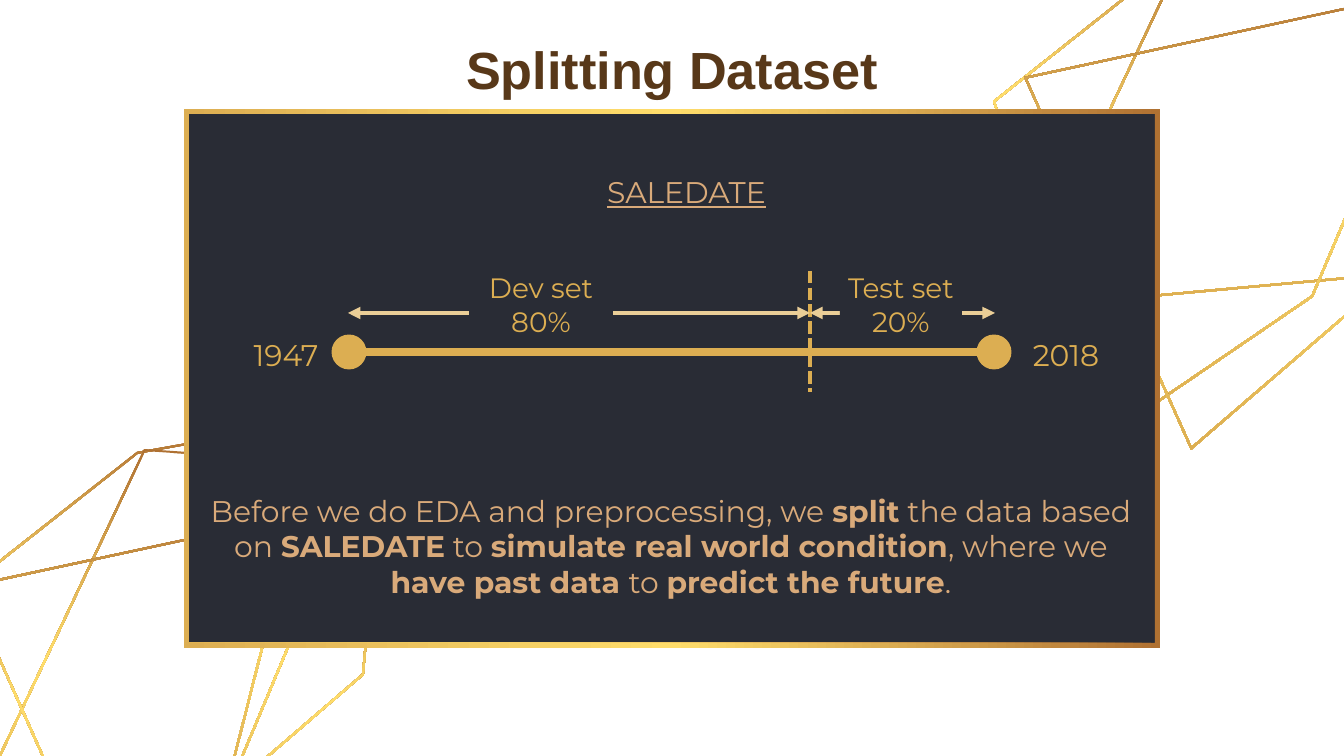
from copy import deepcopy
from math import hypot

from lxml.etree import SubElement
from pptx import Presentation
from pptx.dml.color import RGBColor
from pptx.enum.dml import MSO_LINE
from pptx.enum.shapes import MSO_CONNECTOR, MSO_SHAPE
from pptx.enum.text import MSO_ANCHOR, PP_ALIGN
from pptx.oxml.ns import qn
from pptx.util import Emu, Pt

EMU_PER_PX = 914400 / 134.4
GOLD = RGBColor(0xDC, 0xAE, 0x52)
YELLOW = RGBColor(0xFF, 0xDD, 0x6B)
BRONZE = RGBColor(0xAF, 0x71, 0x32)
CREAM = RGBColor(0xEA, 0xCE, 0x97)
TAN = RGBColor(0xD9, 0xAA, 0x7A)
BROWN = RGBColor(0x58, 0x38, 0x19)
NAVY = RGBColor(0x29, 0x2C, 0x35)
FONT = "Montserrat"

DOWNWARD, LEFTWARD = 270, 180

# Corners run clockwise.
WEB = [
    [(-22, 788), (-71, 616), (137, 452), (276, 427), (298, 511), (234, 763)],
    [(91, 864), (-15, 785), (144, 449), (366, 464), (241, 762)],
    [(105, 898), (-34, 586), (380, 497), (364, 675)],
    [(1052, 306), (993, 101), (1243, -97), (1409, -125), (1437, -26), (1359, 278)],
    [(1134, 419), (1007, 325), (1198, -79), (1464, -60), (1313, 297)],
    [(1191, 450), (1024, 77), (1520, -30), (1501, 183)],
]
FRAME = [(184, 109), (1160, 109), (1160, 648), (184, 648)]

START, SPLIT, END = 348, 810, 995
TIMELINE_Y, ARROW_Y = 352, 313
DOT = 35

MESSAGE = [
    ("Before we do EDA and preprocessing, we ", False),
    ("split", True),
    (" the data based on ", False),
    ("SALEDATE", True),
    (" to ", False),
    ("simulate real world condition", True),
    (", where we ", False),
    ("have past data ", True),
    ("to ", False),
    ("predict the future", True),
    (".", False),
]


def px(value):
    return Emu(round(value * EMU_PER_PX))


def inset(corners, depth):
    """Move every edge of a clockwise polygon inwards by depth."""
    normals = []
    for (x1, y1), (x2, y2) in zip(corners, corners[1:] + corners[:1]):
        length = hypot(x2 - x1, y2 - y1)
        normals.append(((y1 - y2) / length, (x2 - x1) / length))
    moved = []
    for index, (x, y) in enumerate(corners):
        (ax, ay), (bx, by) = normals[index - 1], normals[index]
        reach = depth / (1 + ax * bx + ay * by)
        moved.append((x + reach * (ax + bx), y + reach * (ay + by)))
    return moved


def add_ring(page, corners, thickness, angle):
    """Add a hollow polygon filled with the bronze to gold gradient."""
    outer = [(px(x), px(y)) for x, y in corners]
    inner = [(px(x), px(y)) for x, y in reversed(inset(corners, thickness))]
    builder = page.shapes.build_freeform(*outer[0], scale=1.0)
    builder.add_line_segments(outer[1:], close=True)
    builder.move_to(*inner[0])
    builder.add_line_segments(inner[1:], close=True)
    ring = builder.convert_to_shape()
    ring.shadow.inherit = False
    ring.line.fill.background()
    ring.fill.gradient()
    stop_list = ring._element.spPr.find(qn("a:gradFill")).find(qn("a:gsLst"))
    stop_list.append(deepcopy(stop_list[0]))
    ring.fill.gradient_angle = angle
    colors = (BRONZE, YELLOW, GOLD)
    for stop, color, position in zip(ring.fill.gradient_stops, colors, (0, 0.5, 1)):
        stop.color.rgb = color
        stop.position = position


def add_solid(page, kind, left, top, width, height, color):
    shape = page.shapes.add_shape(kind, px(left), px(top), px(width), px(height))
    shape.shadow.inherit = False
    shape.fill.solid()
    shape.fill.fore_color.rgb = color
    shape.line.fill.background()
    return shape


def add_line(page, start, end, color, weight, arrows=False):
    line = page.shapes.add_connector(
        MSO_CONNECTOR.STRAIGHT, *(px(value) for value in start + end))
    line.line.color.rgb = color
    line.line.width = Pt(weight)
    if arrows:
        outline = line.line._get_or_add_ln()
        for tag in ("a:headEnd", "a:tailEnd"):
            SubElement(outline, qn(tag), type="triangle")
    SubElement(line._element.spPr, qn("a:effectLst"))
    return line


def write(box, paragraphs, size, color, font=FONT, underline=None, margin=13):
    """Fill a box with centred paragraphs of (text, bold) runs."""
    frame = box.text_frame
    frame.word_wrap = True
    frame.vertical_anchor = MSO_ANCHOR.MIDDLE
    frame.margin_left = frame.margin_right = px(margin)
    frame.margin_top = frame.margin_bottom = px(margin)
    for index, runs in enumerate(paragraphs):
        para = frame.add_paragraph() if index else frame.paragraphs[0]
        para.alignment = PP_ALIGN.CENTER
        for text, bold in runs:
            span = para.add_run()
            span.text = text
            span.font.name = font
            span.font.size = Pt(size)
            span.font.bold = bold
            span.font.underline = underline
            span.font.color.rgb = color


def add_text(page, left, top, width, height, runs, size, color, **style):
    box = page.shapes.add_textbox(px(left), px(top), px(width), px(height))
    write(box, [runs], size, color, **style)


def add_share(page, left, width, name, share):
    """Add a label that interrupts the arrow behind it."""
    label = add_solid(page, MSO_SHAPE.RECTANGLE, left, 271, width, 67, NAVY)
    write(label, [[(name, False)], [(share, False)]], 15, GOLD, margin=0)


def add_timeline(page):
    add_line(page, (START, TIMELINE_Y), (END, TIMELINE_Y), GOLD, 4.5)
    for center, year, left in ((START + 1, "1947", 232), (END - 1, "2018", 1012)):
        add_solid(page, MSO_SHAPE.OVAL, center - DOT / 2, TIMELINE_Y - DOT / 2,
                  DOT, DOT, GOLD)
        add_text(page, left, 332, 108, 46, [(year, False)], 16, GOLD)
    divider = add_line(page, (SPLIT, 271), (SPLIT, 392), GOLD, 2.25)
    divider.line.dash_style = MSO_LINE.SQUARE_DOT
    for left, right in ((START, SPLIT), (SPLIT, END)):
        add_line(page, (left, ARROW_Y), (right, ARROW_Y), CREAM, 2.25, arrows=True)
    add_share(page, 469, 144, "Dev set", "80%")
    add_share(page, 840, 122, "Test set", "20%")


def main():
    deck = Presentation()
    deck.slide_width, deck.slide_height = px(1344), px(756)
    page = deck.slides.add_slide(deck.slide_layouts[6])
    for corners in WEB:
        add_ring(page, corners, 2, DOWNWARD)
    add_solid(page, MSO_SHAPE.RECTANGLE, 187, 112, 969, 536, NAVY)
    add_ring(page, FRAME, 5, LEFTWARD)
    add_text(page, 399, 40, 546, 58, [("Splitting Dataset", True)], 28, BROWN,
             font="Arial")
    add_text(page, 195, 466, 952, 160, MESSAGE, 16, TAN)
    add_timeline(page)
    add_text(page, 579, 161, 215, 62, [("SALEDATE", False)], 16, TAN, underline=True)
    deck.save("out.pptx")


if __name__ == "__main__":
    main()
